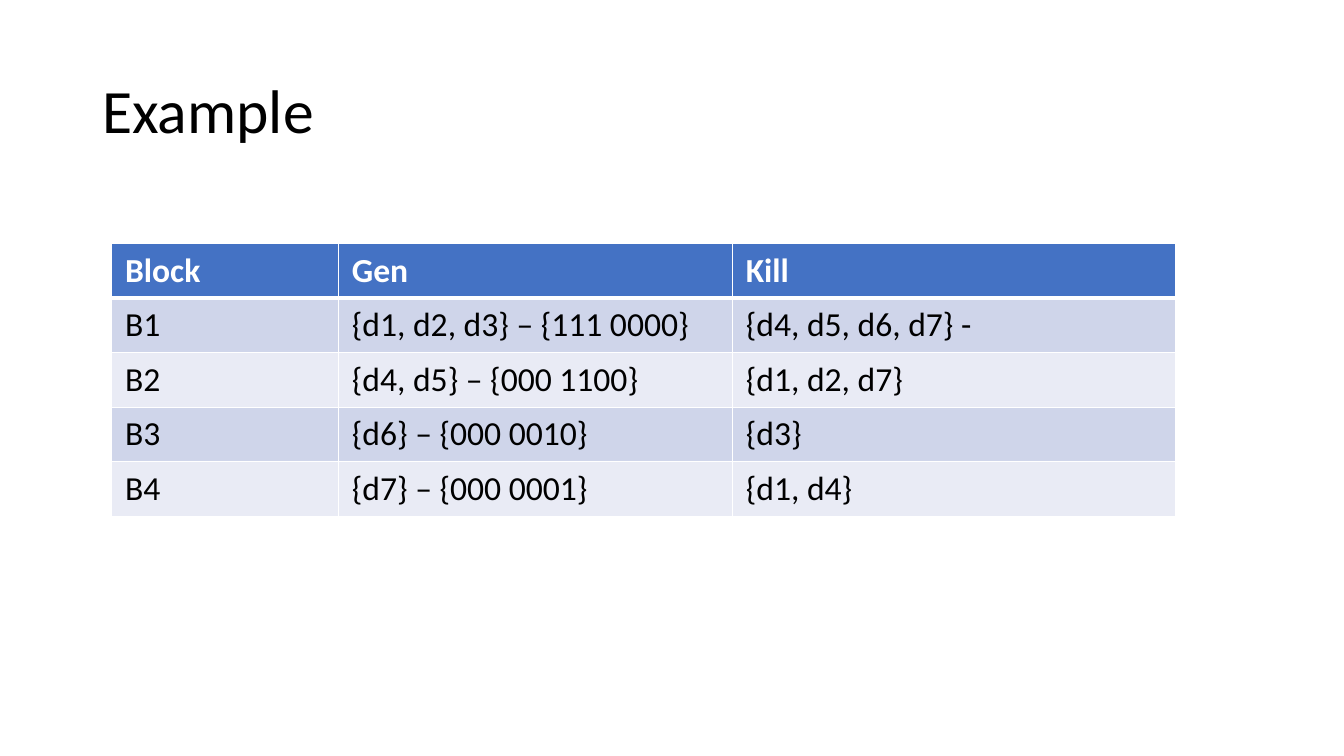
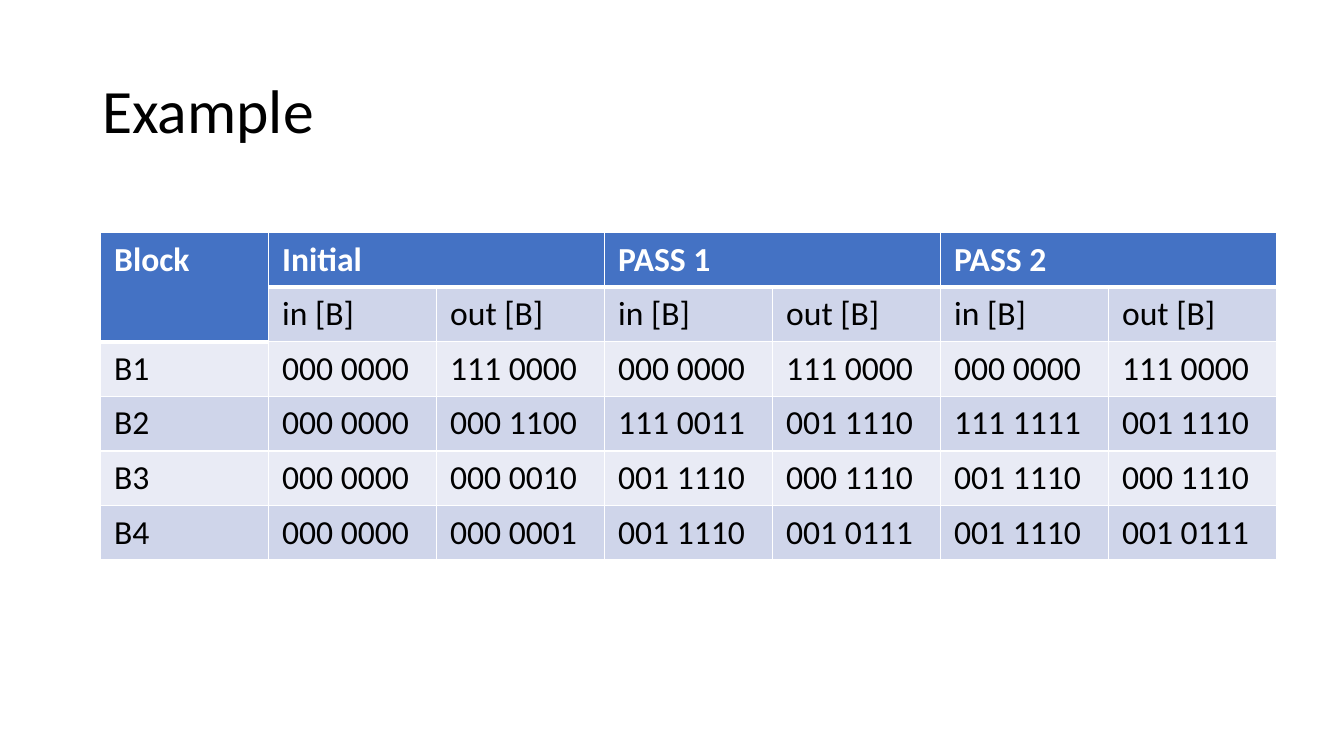
import dataclasses
import itertools

import lxml.etree
import pptx
import pptx.dml.color
import pptx.enum.text
import pptx.oxml.ns
import pptx.util

EMU_PER_PX = 914400 // 120


def px(length):
    return pptx.util.Emu(length * EMU_PER_PX)


@dataclasses.dataclass(frozen=True)
class Theme:
    font: str = "Calibri"
    title_size: int = 44
    table_size: int = 24
    text: str = "000000"
    header_text: str = "FFFFFF"
    header_fill: str = "4472C4"
    band_fills: tuple = ("CFD5EA", "E9EBF5")
    border: str = "FFFFFF"
    thin_border: int = 1
    thick_border: int = 3


class Deck:
    """Holds the style and the current slide."""

    def __init__(self, theme):
        self.theme = theme
        self.presentation = pptx.Presentation()
        self.presentation.slide_width = px(1600)
        self.presentation.slide_height = px(900)
        self.slide = None

    def add_slide(self, title):
        blank_layout = self.presentation.slide_layouts[6]
        self.slide = self.presentation.slides.add_slide(blank_layout)
        self.add_title(title)

    def add_title(self, text):
        box = self.slide.shapes.add_textbox(px(110), px(48), px(1380), px(174))
        frame = box.text_frame
        frame.word_wrap = True
        frame.vertical_anchor = pptx.enum.text.MSO_ANCHOR.MIDDLE
        paragraph = frame.paragraphs[0]
        paragraph.line_spacing = 0.9
        self.add_run(paragraph, text, self.theme.title_size, self.theme.text)

    def add_run(self, paragraph, text, size, color, bold=False):
        run = paragraph.add_run()
        run.text = text
        run.font.name = self.theme.font
        run.font.size = pptx.util.Pt(size)
        run.font.bold = bold
        run.font.color.rgb = pptx.dml.color.RGBColor.from_string(color)

    def add_table(self, left, top, column_widths, row_height, rows):
        """Draw a table; None continues the header cell to its left or above."""
        table = self.slide.shapes.add_table(
            len(rows), len(column_widths), px(left), px(top),
            px(sum(column_widths)), px(row_height * len(rows))).table
        for column, width in zip(table.columns, column_widths):
            column.width = px(width)

        def is_header(row, column):
            return row == 0 or rows[row][column] is None

        for row, texts in enumerate(rows):
            table.rows[row].height = px(row_height)
            for column, text in enumerate(texts):
                header = is_header(row, column)
                below_header = row > 0 and not header and is_header(row - 1, column)
                self.style_cell(table.cell(row, column), text, row, header, below_header)
        self.merge_headers(table, rows)

    def style_cell(self, cell, text, row, header, below_header):
        theme = self.theme
        # Borders come before the fill in the cell properties
        self.add_border(cell, "L", theme.thin_border)
        self.add_border(cell, "R", theme.thin_border)
        self.add_border(cell, "T", theme.thick_border if below_header else theme.thin_border)
        self.add_border(cell, "B", theme.thick_border if header else theme.thin_border)
        fill = theme.header_fill if header else theme.band_fills[(row - 1) % 2]
        cell.fill.solid()
        cell.fill.fore_color.rgb = pptx.dml.color.RGBColor.from_string(fill)
        cell.margin_left = cell.margin_right = px(16)
        cell.margin_top = cell.margin_bottom = px(8)
        if text is not None:
            color = theme.header_text if header else theme.text
            self.add_run(cell.text_frame.paragraphs[0], text,
                         theme.table_size, color, header)

    def add_border(self, cell, side, width):
        qn = pptx.oxml.ns.qn
        properties = cell._tc.get_or_add_tcPr()
        line = lxml.etree.SubElement(properties, qn(f"a:ln{side}"),
                                     w=str(pptx.util.Pt(width)))
        fill = lxml.etree.SubElement(line, qn("a:solidFill"))
        lxml.etree.SubElement(fill, qn("a:srgbClr"), val=self.theme.border)

    def merge_headers(self, table, rows):
        def count_gaps(texts):
            return len(list(itertools.takewhile(lambda text: text is None, texts)))

        for column, text in enumerate(rows[0]):
            if text is None:
                continue
            across = count_gaps(rows[0][column + 1:])
            down = count_gaps(texts[column] for texts in rows[1:])
            if across or down:
                table.cell(0, column).merge(table.cell(down, column + across))


def main():
    deck = Deck(Theme())
    row_height = 65

    # Gen and kill sets
    deck.add_slide("Example")
    deck.add_table(133, 290, [270, 469, 527], row_height, [
        ["Block", "Gen", "Kill"],
        ["B1", "{d1, d2, d3} – {111 0000}", "{d4, d5, d6, d7} -"],
        ["B2", "{d4, d5} – {000 1100}", "{d1, d2, d7}"],
        ["B3", "{d6} – {000 0010}", "{d3}"],
        ["B4", "{d7} – {000 0001}", "{d1, d4}"],
    ])

    # In and out sets after each pass
    deck.add_slide("Example")
    deck.add_table(120, 277, [200] * 7, row_height, [
        ["Block", "Initial", None, "PASS 1", None, "PASS 2", None],
        [None] + ["in [B]", "out [B]"] * 3,
        ["B1"] + ["000 0000", "111 0000"] * 3,
        ["B2", "000 0000", "000 1100", "111 0011", "001 1110", "111 1111", "001 1110"],
        ["B3", "000 0000", "000 0010"] + ["001 1110", "000 1110"] * 2,
        ["B4", "000 0000", "000 0001"] + ["001 1110", "001 0111"] * 2,
    ])

    deck.presentation.save("out.pptx")


if __name__ == "__main__":
    main()
